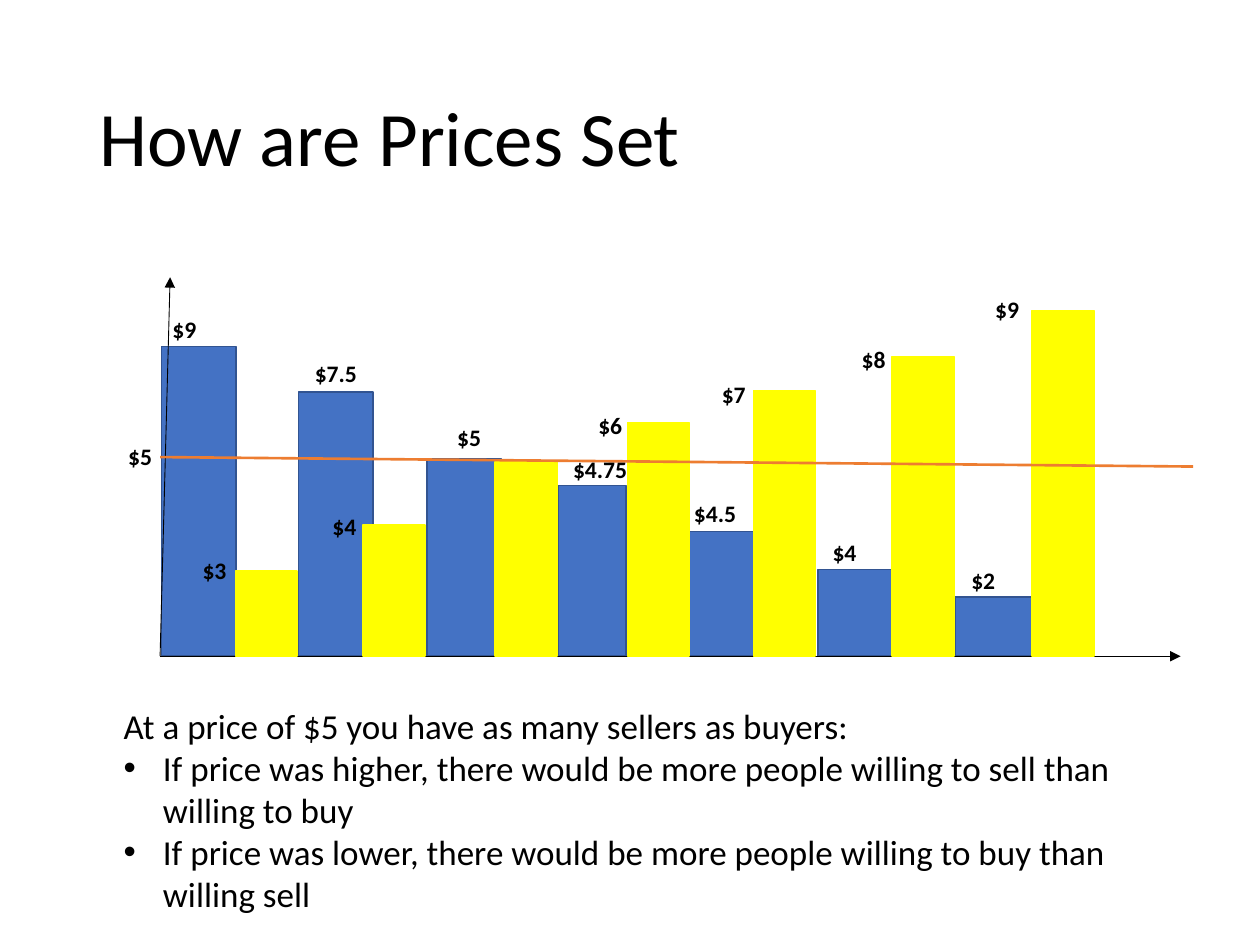
from lxml.etree import SubElement as Sub
from pptx import Presentation
from pptx.dml.color import RGBColor
from pptx.enum.shapes import MSO_CONNECTOR as Conn, MSO_SHAPE as Kind
from pptx.enum.text import MSO_ANCHOR as Anchor, MSO_AUTO_SIZE as Auto, PP_ALIGN as Align
from pptx.oxml.ns import qn
from pptx.util import Pt

BLUE = RGBColor(0x44, 0x72, 0xC4)
NAVY = RGBColor(0x32, 0x54, 0x91)
YELLOW = RGBColor(0xFF, 0xFF, 0x00)
ORANGE = RGBColor(0xED, 0x7D, 0x31)
BLACK = RGBColor(0, 0, 0)

BASE = 375
LEFT = 91.5
SELL_WIDTH = 35.3
INDENT = 22.5

BUYERS = [
    (92.2, 42.5, 198), (170.6, 42.5, 223.9), (244.1, 42.5, 262.3),
    (319, 38.9, 277.5), (389.5, 42.5, 303.8), (467.3, 42.5, 325.4),
    (545.8, 44.6, 341.3),
]
SELLERS = [
    (134.6, 326.2), (207.4, 300.2), (283, 264.2), (358.6, 241.5),
    (430.6, 223.2), (509.8, 203.8), (589.7, 177.4),
]
LABELS = [
    ("$3", 108.7, 313.9), ("$4", 182.9, 289.2), ("$5", 254.2, 238.3),
    ("$6", 334.8, 231), ("$7", 405.4, 213.8), ("$8", 485.3, 193.7),
    ("$9", 561.6, 165), ("$5", 66.2, 249), ("$9", 91.5, 176.4),
    ("$7.5", 172.8, 201.6), ("$4.75", 320.4, 256.3), ("$4.5", 389.5, 281.5),
    ("$4", 468.7, 303.8), ("$2", 548, 319.7),
]
LABEL_WIDTH = {2: 28, 4: 38.9, 5: 45.4}

LEAD = "At a price of $5 you have as many sellers as buyers:"
POINTS = [
    "If price was higher, there would be more people willing to sell than willing to buy",
    "If price was lower, there would be more people willing to buy than willing sell",
]


def write(para, text, size=20, bold=False, color=BLACK, face="Calibri", space=1.0):
    para.text = text
    para.alignment = Align.LEFT
    para.line_spacing = space
    para.space_before = Pt(0)
    font = para.font
    font.size, font.bold, font.name = Pt(size), bold, face
    font.color.rgb = color


class Page:
    def __init__(self, slide, label_size=13.5):
        self.slide = slide
        self.shapes = slide.shapes
        self.label_size = label_size

    def place(self, shape, x, y, w, h):
        shape.left, shape.top, shape.width, shape.height = Pt(x), Pt(y), Pt(w), Pt(h)

    def title(self, text, *area):
        shape = self.shapes.title
        self.place(shape, *area)
        frame = shape.text_frame
        frame.vertical_anchor = Anchor.MIDDLE
        frame.auto_size = Auto.NONE
        write(frame.paragraphs[0], text, size=44, space=0.9)

    def body(self, lead, points, *area):
        shape = self.slide.placeholders[1]
        self.place(shape, *area)
        frame = shape.text_frame
        frame.auto_size = Auto.NONE
        for i, text in enumerate([lead] + points):
            para = frame.add_paragraph() if i else frame.paragraphs[0]
            props = para._p.get_or_add_pPr()
            indent = Pt(INDENT) if i else 0
            props.set("marL", str(indent))
            props.set("indent", str(-indent))
            if i:
                Sub(props, qn("a:buFont"), typeface="Arial")
                Sub(props, qn("a:buChar"), char="•")
            else:
                Sub(props, qn("a:buNone"))
            write(para, text)

    def bar(self, x, top, width, fill, edge):
        shape = self.shapes.add_shape(Kind.RECTANGLE, Pt(x), Pt(top), Pt(width), Pt(BASE - top))
        shape.shadow.inherit = False
        shape.fill.solid()
        shape.fill.fore_color.rgb = fill
        shape.line.color.rgb = edge
        shape.line.width = Pt(1)

    def line(self, start, end, color=BLACK, width=0.5, arrow=False):
        link = self.shapes.add_connector(Conn.STRAIGHT, *map(Pt, start + end))
        link.line.color.rgb = color
        link.line.width = Pt(width)
        if arrow:
            Sub(link.line._get_or_add_ln(), qn("a:tailEnd"), type="triangle")
        Sub(link._element.spPr, qn("a:effectLst"))

    def label(self, text, x, y):
        box = self.shapes.add_textbox(Pt(x), Pt(y), Pt(LABEL_WIDTH[len(text)]), Pt(23.8))
        frame = box.text_frame
        frame.word_wrap = False
        frame.auto_size = Auto.SHAPE_TO_FIT_TEXT
        write(frame.paragraphs[0], text, size=self.label_size, bold=True)


def main():
    deck = Presentation()
    deck.slide_width, deck.slide_height = Pt(720), Pt(540)
    page = Page(deck.slides.add_slide(deck.slide_layouts[1]))

    page.title("How are Prices Set", 49.5, 28.8, 621, 104.4)
    page.body(LEAD, POINTS, 63.4, 399, 625.7, 128)
    for x, width, top in BUYERS:
        page.bar(x, top, width, BLUE, NAVY)
    page.line((LEFT, BASE), (97.2, 158.4), arrow=True)
    page.line((LEFT, BASE), (674.6, BASE), arrow=True)
    for x, top in SELLERS:
        page.bar(x, top, SELL_WIDTH, YELLOW, YELLOW)
    page.line((LEFT, 261.2), (681.8, 266.6), ORANGE, 1.5)
    for text, x, y in LABELS:
        page.label(text, x, y)

    deck.save("out.pptx")


if __name__ == "__main__":
    main()
